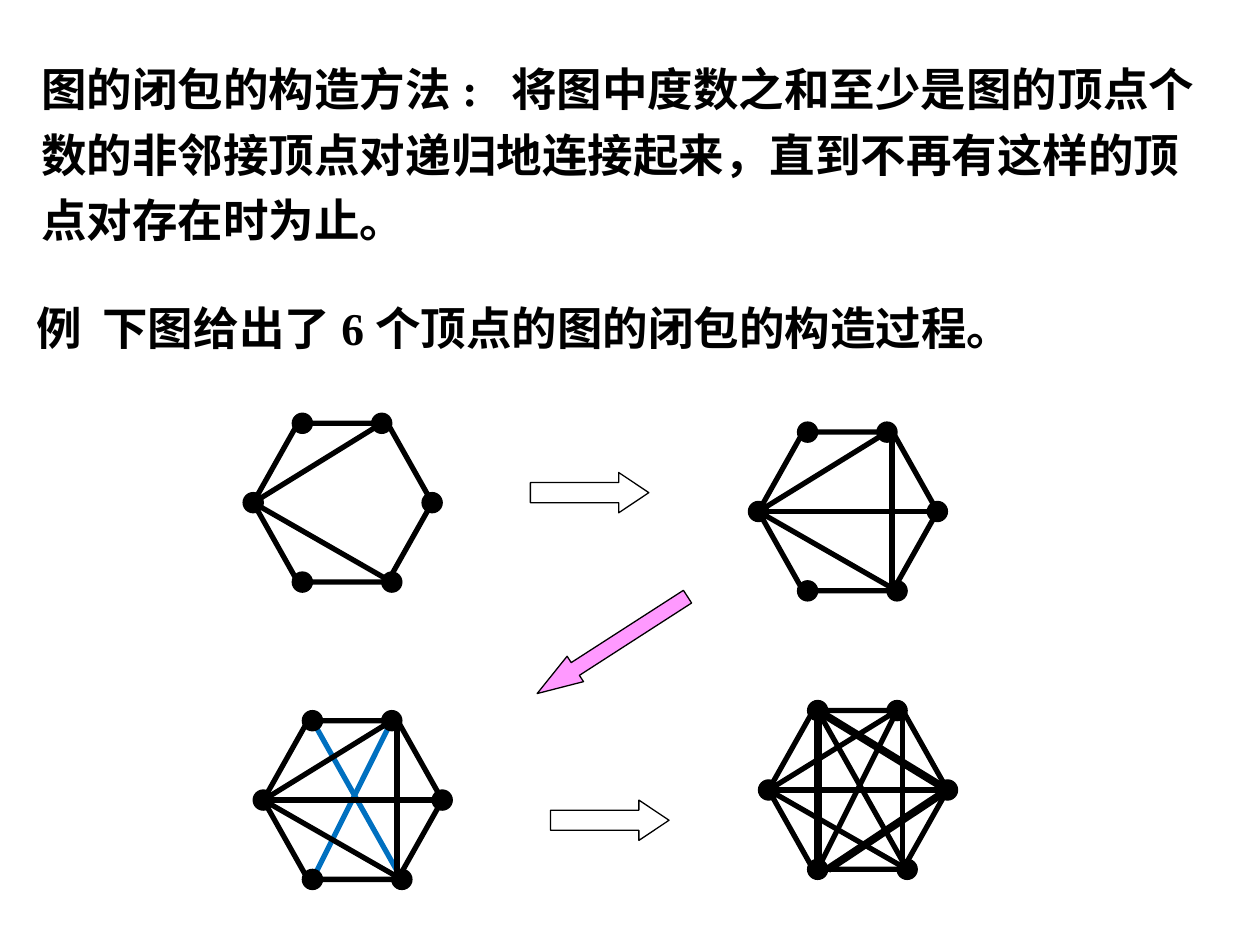
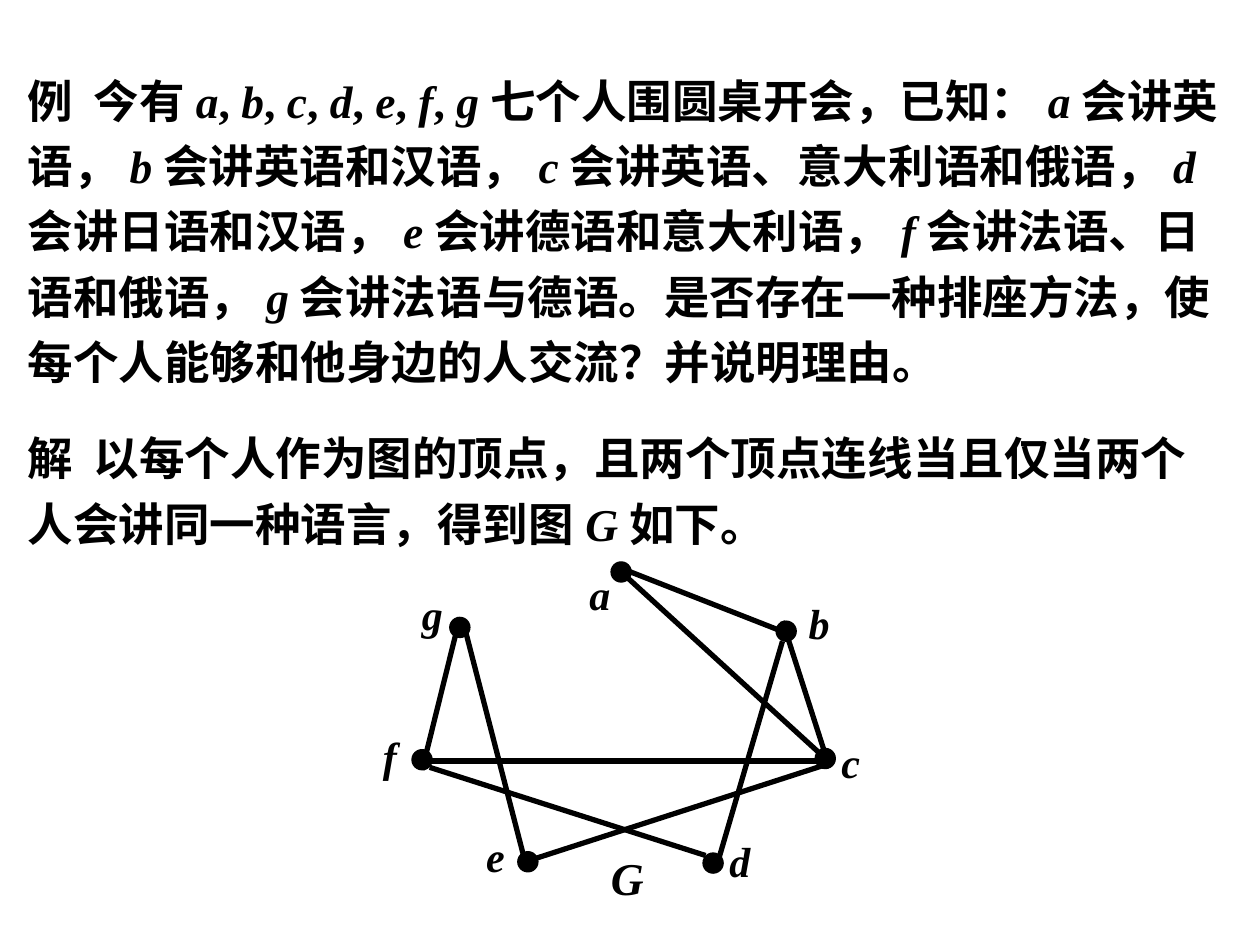
from lxml.etree import SubElement
from pptx import Presentation
from pptx.dml.color import RGBColor
from pptx.enum.lang import MSO_LANGUAGE_ID as Language
from pptx.enum.shapes import MSO_CONNECTOR as Connector, MSO_SHAPE as Shape
from pptx.enum.text import MSO_AUTO_SIZE as AutoSize
from pptx.oxml.ns import qn
from pptx.util import Inches, Pt

BLACK = RGBColor(0x00, 0x00, 0x00)
WHITE = RGBColor(0xFF, 0xFF, 0xFF)
PINK = RGBColor(0xFF, 0x99, 0xFF)
BLUE = RGBColor(0x00, 0x70, 0xC0)
FONT = "Times New Roman"
DOT = 0.16
EDGE_WIDTH = 3
HEAVY_WIDTH = 4.5

# Hexagon geometry, measured from the top left corner of its frame
HEX_WIDTH, HEX_HEIGHT = 1.42, 1.26
LEFT, RIGHT = (0, 0.63), (1.42, 0.63)
TOP_LEFT, TOP_RIGHT = (0.39, 0), (1.02, 0)
BOTTOM_LEFT, BOTTOM_RIGHT = (0.39, 1.26), (1.1, 1.26)
VERTICES = [TOP_LEFT, TOP_RIGHT, RIGHT, LEFT, BOTTOM_LEFT, BOTTOM_RIGHT]

# Chords present at first, then those added by each step of the closure
FAN = [(LEFT, TOP_RIGHT), (LEFT, BOTTOM_RIGHT)]
FIRST_STEP = [(LEFT, (1.34, 0.63)), ((1.06, 0), (1.06, 1.26))]
SECOND_STEP = [(TOP_RIGHT, BOTTOM_LEFT), (TOP_LEFT, BOTTOM_RIGHT)]
LAST_STEP = [(TOP_LEFT, BOTTOM_LEFT), ((0.47, 1.26), RIGHT), (TOP_LEFT, RIGHT)]

METHOD = ("图的闭包的构造方法:  将图中度数之和至少是图的顶点个数的非邻接顶点对"
          "递归地连接起来，直到不再有这样的顶点对存在时为止。")
EXAMPLE = "例  下图给出了6个顶点的图的闭包的构造过程。"
# Text between asterisks is italic
QUESTION = ("例  今有*a*, *b*, *c*, *d*, *e*, *f*, *g*七个人围圆桌开会，已知："
            "*a*会讲英语，*b*会讲英语和汉语，*c*会讲英语、意大利语和俄语，"
            "*d*会讲日语和汉语，*e*会讲德语和意大利语，*f*会讲法语、日语和俄语，"
            "*g*会讲法语与德语。是否存在一种排座方法，使每个人能够和他身边的人交流？"
            "并说明理由。")
ANSWER = ("解  以每个人作为图的顶点，且两个顶点连线当且仅当两个人会讲同一种语言，"
          "得到图*G*如下。")

# Person: dot centre, label corner
PEOPLE = {
    "a": ((4.93, 4.54), (4.58, 4.46)),
    "b": ((6.24, 5.01), (6.32, 4.69)),
    "c": ((6.55, 6.02), (6.58, 5.8)),
    "d": ((5.66, 6.85), (5.69, 6.58)),
    "e": ((4.19, 6.84), (3.76, 6.54)),
    "f": ((3.35, 6.03), (2.94, 5.75)),
    "g": ((3.65, 4.98), (3.25, 4.62)),
}
SHARED_LANGUAGES = [
    ((4.93, 4.51), (6.18, 5.0)),    # a-b
    ((6.21, 4.93), (6.58, 6.08)),   # b-c
    ((4.92, 4.53), (6.54, 6.01)),   # a-c
    ((6.55, 6.04), (3.41, 6.04)),   # c-f
    ((6.52, 6.08), (4.23, 6.82)),   # c-e
    ((3.65, 4.9), (3.35, 6.11)),    # g-f
    ((3.7, 5.03), (4.16, 6.81)),    # g-e
    ((3.41, 6.09), (5.6, 6.79)),    # f-d
    ((6.21, 5.09), (5.68, 6.9)),    # b-d
]


def add_text(shapes, frame, text, size=26, spacing=1.0):
    """Add bold text; parts between asterisks become italic."""
    box = shapes.add_textbox(*map(Inches, frame))
    text_frame = box.text_frame
    text_frame.word_wrap = True
    text_frame.auto_size = AutoSize.SHAPE_TO_FIT_TEXT
    para = text_frame.paragraphs[0]
    para.line_spacing = spacing
    for index, part in enumerate(text.split("*")):
        if not part:
            continue
        span = para.add_run()
        span.text = part
        font = span.font
        font.name, font.size, font.bold = FONT, Pt(size), True
        font.italic = index % 2 == 1
        font.color.rgb = BLACK
        font.language_id = Language.SIMPLIFIED_CHINESE


def add_outlined(shapes, kind, frame, fill=None, width=0.75):
    shape = shapes.add_shape(kind, *map(Inches, frame))
    shape.shadow.inherit = False
    if fill is None:
        shape.fill.background()
    else:
        shape.fill.solid()
        shape.fill.fore_color.rgb = fill
    shape.line.color.rgb = BLACK
    shape.line.width = Pt(width)
    return shape


def add_dot(shapes, x, y):
    frame = (x - DOT / 2, y - DOT / 2, DOT, DOT)
    add_outlined(shapes, Shape.OVAL, frame, BLACK)


def add_edge(shapes, start, end, color=BLACK, width=EDGE_WIDTH):
    edge = shapes.add_connector(Connector.STRAIGHT, *map(Inches, (*start, *end)))
    edge.line.color.rgb = color
    edge.line.width = Pt(width)
    SubElement(edge._element.spPr, qn("a:effectLst"))


def add_arrow(shapes, frame, fill=WHITE, head=0.747, rotation=0):
    arrow = add_outlined(shapes, Shape.RIGHT_ARROW, frame, fill)
    arrow.adjustments[1] = head
    arrow.rotation = rotation


def add_hexagon_graph(page, left, top, chords, new_chords=(),
                      color=BLACK, width=EDGE_WIDTH):
    """Draw a six-vertex graph, with the new chords behind the others."""
    shapes = page.shapes.add_group_shape().shapes

    def place(point):
        return left + point[0], top + point[1]

    for start, end in new_chords:
        add_edge(shapes, place(start), place(end), color, width)
    hexagon = add_outlined(shapes, Shape.HEXAGON,
                           (left, top, HEX_WIDTH, HEX_HEIGHT), width=EDGE_WIDTH)
    hexagon.adjustments[0] = 0.281
    for vertex in VERTICES:
        add_dot(shapes, *place(vertex))
    for start, end in chords:
        add_edge(shapes, place(start), place(end))


def build_closure_page(page):
    add_text(page.shapes, (0.23, 0.35, 9.45, 1.66), METHOD, spacing=1.2)
    add_text(page.shapes, (0.19, 2.33, 9.06, 0.54), EXAMPLE)
    joined = FAN + FIRST_STEP
    add_hexagon_graph(page, 2.01, 3.36, FAN)
    add_hexagon_graph(page, 2.09, 5.72, joined, SECOND_STEP, color=BLUE)
    add_hexagon_graph(page, 6.02, 3.43, joined)
    add_hexagon_graph(page, 6.1, 5.64, joined + SECOND_STEP, LAST_STEP,
                      width=HEAVY_WIDTH)
    add_arrow(page.shapes, (4.21, 3.75, 0.94, 0.32))
    add_arrow(page.shapes, (4.15, 5, 1.42, 0.24), PINK, 1.501, 147.2)
    add_arrow(page.shapes, (4.37, 6.35, 0.94, 0.32))


def build_seating_page(page):
    add_text(page.shapes, (0.12, 0.44, 9.69, 2.7), QUESTION, spacing=1.2)
    add_text(page.shapes, (0.12, 3.28, 9.69, 1.14), ANSWER, spacing=1.2)
    shapes = page.shapes.add_group_shape().shapes
    for name, (centre, corner) in PEOPLE.items():
        add_dot(shapes, *centre)
        add_text(shapes, (*corner, 0.31, 0.5), f"*{name}*", size=24)
    for start, end in SHARED_LANGUAGES:
        add_edge(shapes, start, end)
    add_text(shapes, (4.75, 6.7, 0.52, 0.54), "*G*")


def main():
    deck = Presentation()
    deck.slide_width, deck.slide_height = Inches(10), Inches(7.5)
    blank = deck.slide_layouts[6]
    for build in (build_closure_page, build_seating_page):
        build(deck.slides.add_slide(blank))
    deck.save("out.pptx")


if __name__ == "__main__":
    main()
